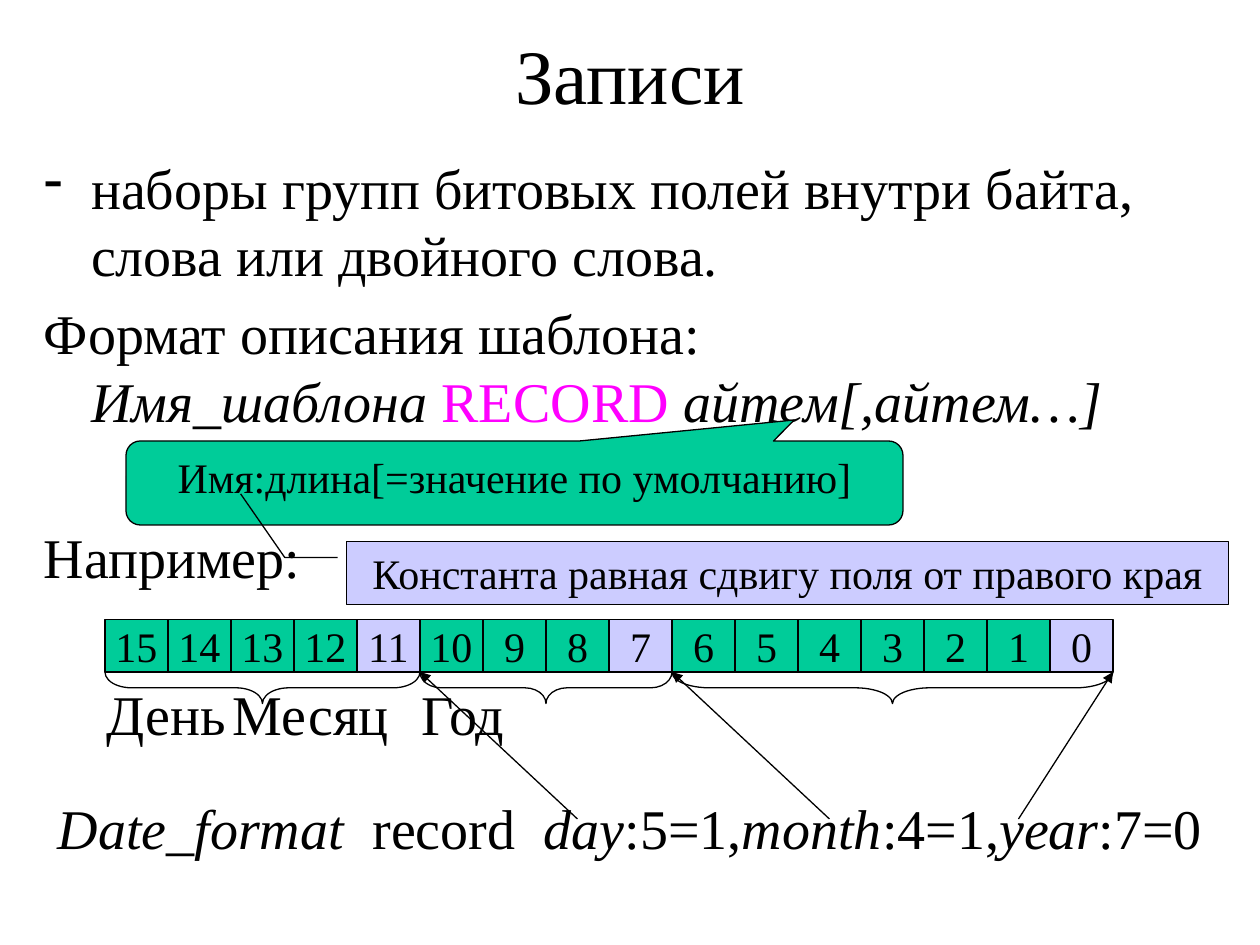
import pptx
import pptx.dml.color
import pptx.enum.shapes
import pptx.enum.text
import pptx.util
from lxml import etree

Pt = pptx.util.Pt
Shape = pptx.enum.shapes.MSO_SHAPE
Align = pptx.enum.text.PP_ALIGN
Anchor = pptx.enum.text.MSO_ANCHOR

COLORS = {"text": "000000", "keyword": "FF00FF", "field": "00CC99", "lowest": "CCCCFF"}
DRAWING_NS = "http://schemas.openxmlformats.org/drawingml/2006/main"

CELL_LEFT, CELL_TOP, CELL_WIDTH, CELL_HEIGHT = 60, 354, 36, 30
BITS = 16
BRACE_DEPTH = 18
# Lowest bit of each field, brace curvature, and where its arrow starts
FIELDS = [(11, 0.84, 330), (7, 0.67, 474), (0, 1.18, 582)]


def rgb(name):
    return pptx.dml.color.RGBColor.from_string(COLORS[name])


def add_xml(parent, tag, **attributes):
    return etree.SubElement(parent, f"{{{DRAWING_NS}}}{tag}", attributes)


def write(paragraph, text, size=32, color="text", italic=False, font="Times New Roman"):
    run = paragraph.add_run()
    run.text = text
    run.font.name = font
    run.font.size = Pt(size)
    run.font.italic = italic
    run.font.color.rgb = rgb(color)


class SlideBuilder:
    def __init__(self, slide, line_width=0.75):
        self.slide = slide
        self.line_width = Pt(line_width)

    def title(self, text, left, top, width, height):
        title = self.slide.shapes.title
        title.left, title.top, title.width, title.height = map(Pt, (left, top, width, height))
        title.text_frame.vertical_anchor = Anchor.MIDDLE
        paragraph = title.text_frame.paragraphs[0]
        paragraph.alignment = Align.CENTER
        write(paragraph, text, size=44)

    def text_box(self, left, top, width, height):
        frame = self.slide.shapes.add_textbox(*map(Pt, (left, top, width, height))).text_frame
        frame.word_wrap = True
        return frame

    def body_paragraph(self, paragraph, space_before=6.4, hanging=27, bullet=None, tabs=()):
        """Set spacing and indents; bullet and tab stops are optional."""
        paragraph.line_spacing = Pt(38.4)
        paragraph.space_before = Pt(space_before)
        properties = paragraph._p.get_or_add_pPr()
        properties.set("marL", str(Pt(hanging)))
        properties.set("indent", str(-Pt(hanging)))
        if bullet:
            add_xml(properties, "buChar", char=bullet)
        if tabs:
            stops = add_xml(properties, "tabLst")
            for position in tabs:
                add_xml(stops, "tab", pos=str(Pt(position)), algn="l")
        return paragraph

    def shape(self, kind, left, top, width, height, fill=None, adjustments=()):
        shape = self.slide.shapes.add_shape(kind, *map(Pt, (left, top, width, height)))
        shape.shadow.inherit = False
        for index, value in enumerate(adjustments):
            shape.adjustments[index] = value
        if fill:
            shape.fill.solid()
            shape.fill.fore_color.rgb = rgb(fill)
        else:
            shape.fill.background()
        shape.line.color.rgb = rgb("text")
        shape.line.width = self.line_width
        return shape

    def labelled(self, kind, text, *box, anchor=Anchor.TOP, wrap=True, **look):
        frame = self.shape(kind, *box, **look).text_frame
        frame.word_wrap = wrap
        frame.vertical_anchor = anchor
        frame.paragraphs[0].alignment = Align.CENTER
        write(frame.paragraphs[0], text, size=24)

    def brace_below(self, left, top, width, curvature):
        """Turn a left brace so that it spans the width and points down."""
        brace = self.shape(
            Shape.LEFT_BRACE,
            left + (width - BRACE_DEPTH) / 2,
            top - (width - BRACE_DEPTH) / 2,
            BRACE_DEPTH, width,
            adjustments=(curvature, 0.5),
        )
        brace.rotation = 270

    def arrow(self, start_x, start_y, end_x, end_y):
        connector = self.slide.shapes.add_connector(
            pptx.enum.shapes.MSO_CONNECTOR.STRAIGHT,
            *map(Pt, (start_x, start_y, end_x, end_y)),
        )
        connector.line.color.rgb = rgb("text")
        connector.line.width = self.line_width
        add_xml(connector.line._get_or_add_ln(), "tailEnd", type="triangle")
        add_xml(connector._element.spPr, "effectLst")


def add_body(builder):
    frame = builder.text_box(18, 84, 684, 354)
    definition = builder.body_paragraph(frame.paragraphs[0], space_before=0, bullet="-")
    write(definition, "наборы групп битовых полей внутри байта, слова или двойного слова.")

    syntax = builder.body_paragraph(frame.add_paragraph())
    write(syntax, "Формат описания шаблона:")
    syntax.add_line_break()
    write(syntax, "Имя_шаблона ", italic=True)
    write(syntax, "RECORD ", color="keyword")
    write(syntax, "айтем[,айтем…]", italic=True)

    example = builder.body_paragraph(frame.add_paragraph(), space_before=51.2)
    write(example, "Например:")

    field_names = builder.body_paragraph(
        frame.add_paragraph(), space_before=51.2, hanging=0, tabs=(82, 203, 403)
    )
    write(field_names, "\tДень\tМесяц\tГод")


def add_declaration(builder):
    declaration = builder.text_box(12, 450, 696, 45).paragraphs[0]
    declaration.alignment = Align.CENTER
    parts = ["Date_format", "  record  ", "day", ":5=1,", "month", ":4=1,", "year", ":7=0"]
    for index, part in enumerate(parts):
        write(declaration, part, italic=index % 2 == 0)


def add_bit_row(builder):
    lowest_bits = [field[0] for field in FIELDS]
    for column in range(BITS):
        bit = BITS - 1 - column
        builder.labelled(
            Shape.RECTANGLE, str(bit),
            CELL_LEFT + column * CELL_WIDTH, CELL_TOP, CELL_WIDTH, CELL_HEIGHT,
            anchor=Anchor.MIDDLE, wrap=False,
            fill="lowest" if bit in lowest_bits else "field",
        )
    left, bottom = CELL_LEFT, CELL_TOP + CELL_HEIGHT
    for lowest_bit, curvature, arrow_start in FIELDS:
        right = CELL_LEFT + (BITS - lowest_bit) * CELL_WIDTH
        builder.brace_below(left, bottom, right - left, curvature)
        builder.arrow(arrow_start, 468, right, bottom)
        left = right


def main():
    presentation = pptx.Presentation()
    presentation.slide_width, presentation.slide_height = Pt(720), Pt(540)
    builder = SlideBuilder(presentation.slides.add_slide(presentation.slide_layouts[5]))

    builder.title("Записи", 54, 12, 612, 60)
    add_body(builder)
    builder.labelled(
        Shape.ROUNDED_RECTANGULAR_CALLOUT, "Имя:длина[=значение по умолчанию]",
        72, 252, 444, 48, fill="field", adjustments=(0.36, -0.75, 0.17),
    )
    add_declaration(builder)
    builder.labelled(
        Shape.LINE_CALLOUT_2, "Константа равная сдвигу поля от правого края",
        198, 309.6, 504, 36, fill="lowest",
        adjustments=(0.25, -0.01, 0.25, -0.07, -0.76, -0.12),
    )
    add_bit_row(builder)
    presentation.save("out.pptx")


if __name__ == "__main__":
    main()
